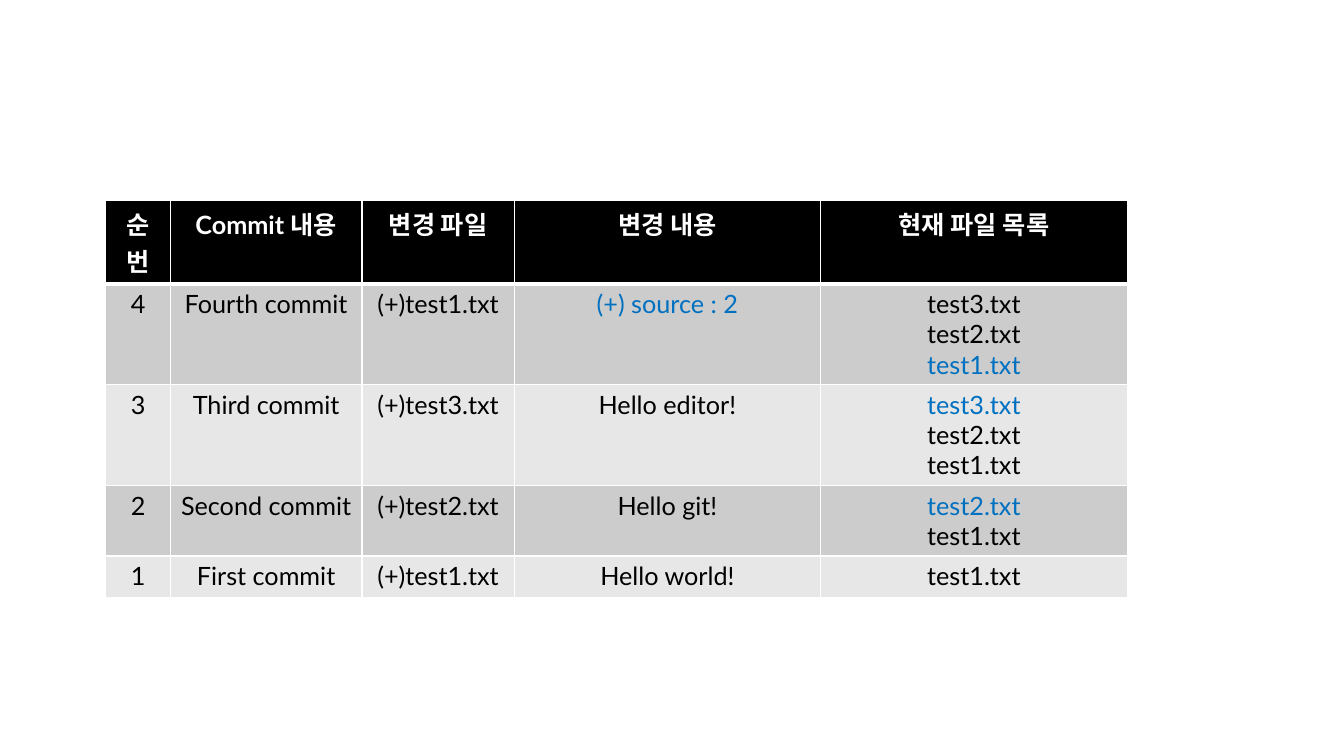
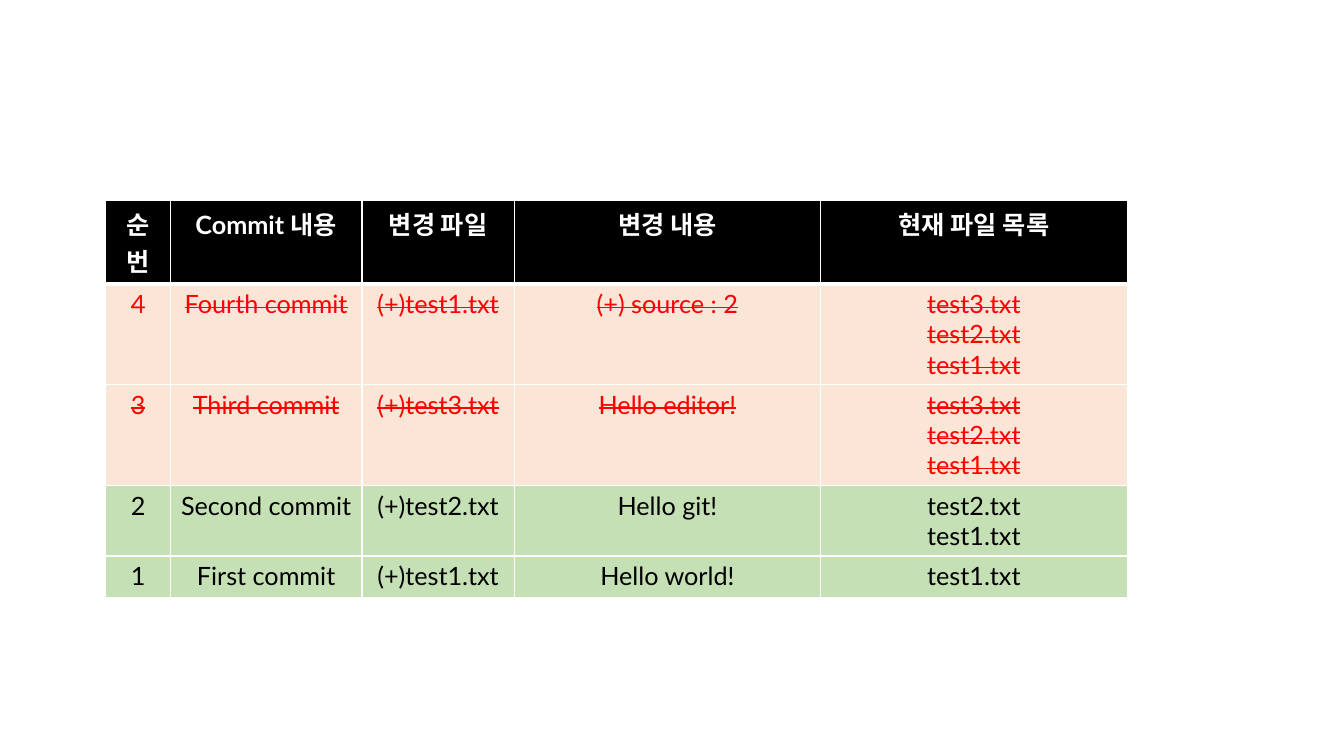
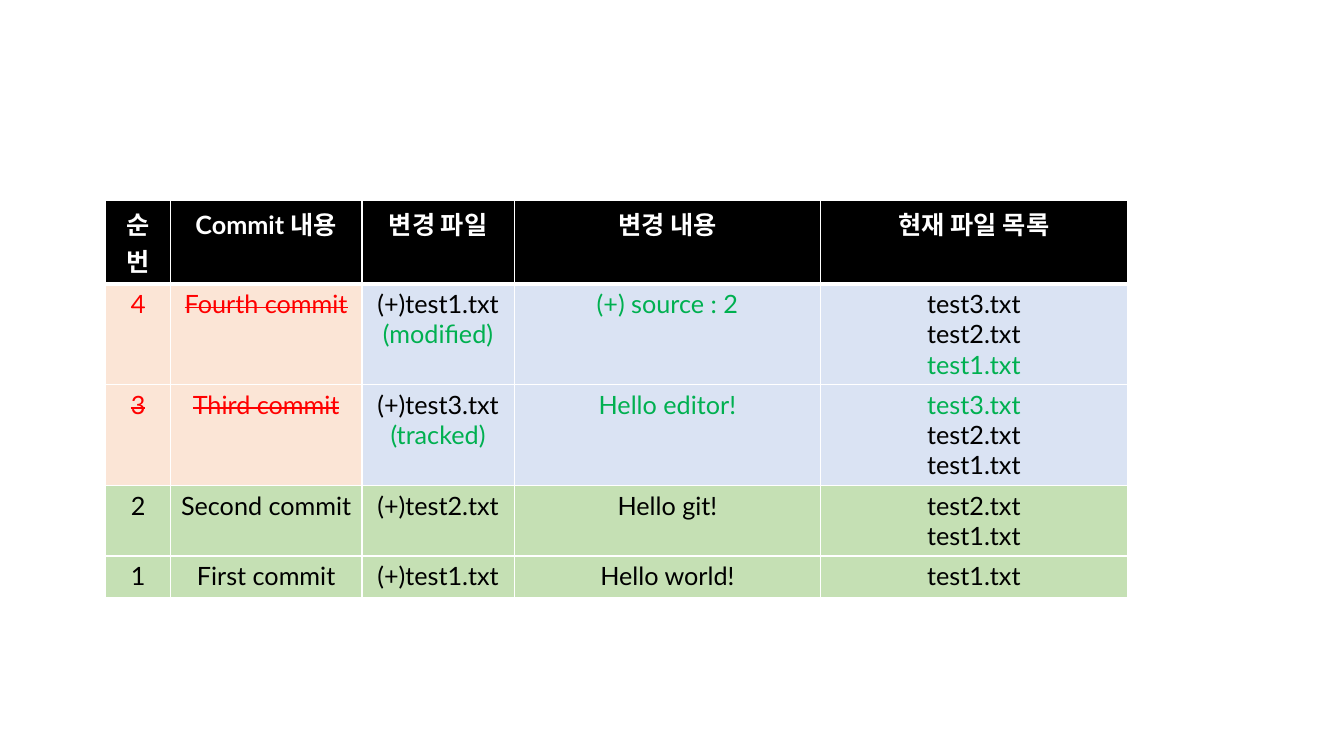
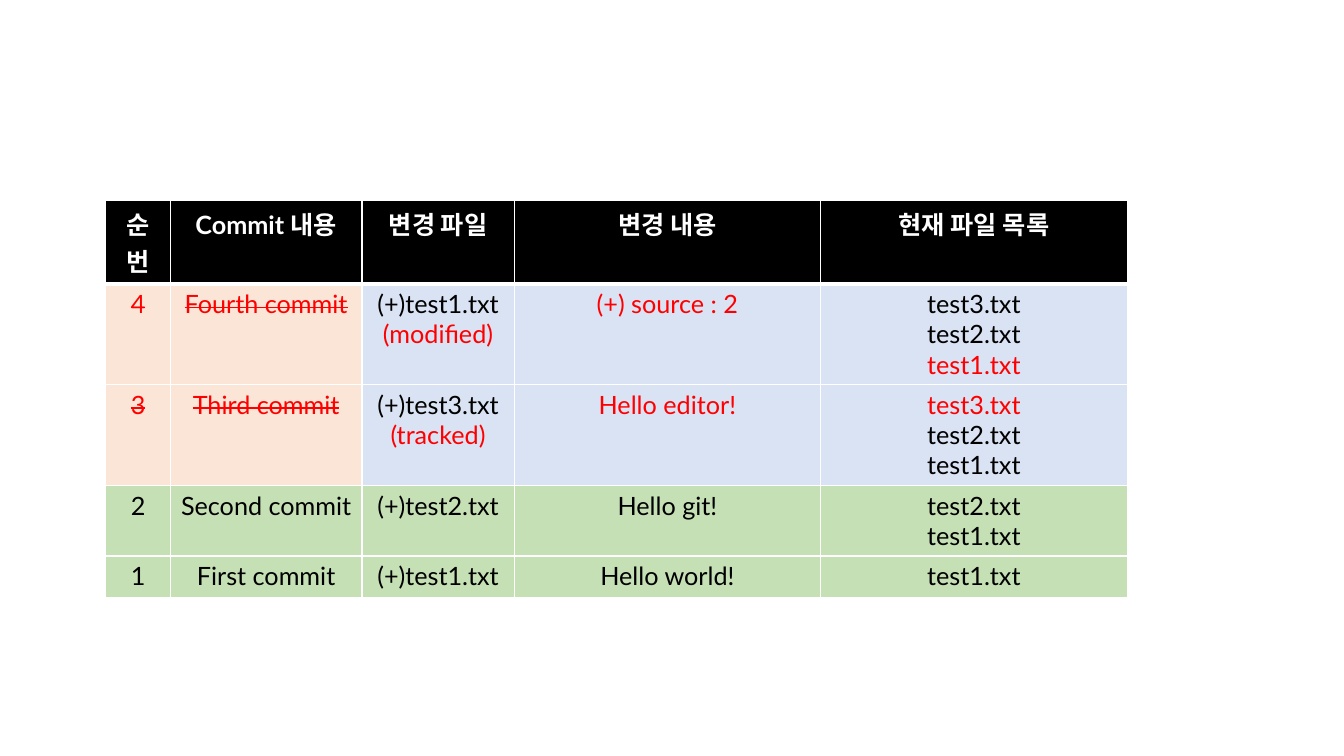
from dataclasses import dataclass

from lxml.etree import SubElement
from pptx import Presentation
from pptx.dml.color import RGBColor
from pptx.enum.text import PP_ALIGN
from pptx.oxml.ns import qn
from pptx.util import Pt

EMU_PER_PX = 9144
FONT = "Lato"
BLACK, WHITE = "000000", "FFFFFF"
BLUE, RED, GREEN = "0070C0", "FF0000", "00B050"
BANDS = ("CCCCCC", "E7E7E7")
UNDONE_FILL, KEPT_FILL, RESTORED_FILL = "FBE5D6", "C5E0B4", "DAE3F3"

TABLE_BOX = (105, 199, 1013, 351)
COLUMN_WIDTHS = (64, 190, 151, 304, 304)
ROW_HEIGHT = 41
HEADERS = ("순번", "Commit 내용", "변경 파일", "변경 내용", "현재 파일 목록")


@dataclass
class Commit:
    number: str
    title: str
    changed: str
    content: str
    files: tuple
    state: str = ""

    def cells(self):
        return [(self.number,), (self.title,), (f"(+){self.changed}",),
                (self.content,), self.files]


COMMITS = (
    Commit("4", "Fourth commit", "test1.txt", "(+) source : 2",
           ("test3.txt", "test2.txt", "test1.txt"), "(modified)"),
    Commit("3", "Third commit", "test3.txt", "Hello editor!",
           ("test3.txt", "test2.txt", "test1.txt"), "(tracked)"),
    Commit("2", "Second commit", "test2.txt", "Hello git!",
           ("test2.txt", "test1.txt")),
    Commit("1", "First commit", "test1.txt", "Hello world!", ("test1.txt",)),
)


@dataclass
class Line:
    text: str
    colour: str = BLACK
    bold: bool = False
    strike: bool = False


def px(length):
    return length * EMU_PER_PX


def rgb(value):
    return RGBColor.from_string(value)


def add_borders(cell, widths):
    """Draw white borders; widths maps a side (L, R, T, B) to points."""
    properties = cell._tc.get_or_add_tcPr()
    for index, (side, width) in enumerate(widths.items()):
        border = SubElement(properties, qn(f"a:ln{side}"), w=str(Pt(width)))
        fill = SubElement(border, qn("a:solidFill"))
        SubElement(fill, qn("a:srgbClr"), val=WHITE)
        properties.insert(index, border)


def write_cell(cell, fill, lines):
    cell.fill.solid()
    cell.fill.fore_color.rgb = rgb(fill)
    frame = cell.text_frame
    for index, line in enumerate(lines):
        para = frame.add_paragraph() if index else frame.paragraphs[0]
        para.alignment = PP_ALIGN.CENTER
        span = para.add_run()
        span.text = line.text
        span.font.name = FONT
        span.font.size = Pt(18)
        span.font.bold = line.bold
        span.font.color.rgb = rgb(line.colour)
        if line.strike:
            span.font._element.set("strike", "sngStrike")


def add_commit_table(slide, box, rows):
    """Rows hold (fill, lines) pairs, one for each column."""
    left, top, width, height = map(px, box)
    holder = slide.shapes.add_table(len(rows), len(COLUMN_WIDTHS),
                                    left, top, width, height)
    table = holder.table
    table.horz_banding = False
    for column, column_width in zip(table.columns, COLUMN_WIDTHS):
        column.width = px(column_width)
    for index, (row, contents) in enumerate(zip(table.rows, rows)):
        row.height = px(ROW_HEIGHT)
        widths = {"L": 1, "R": 1, "T": 1, "B": 1 if index else 3}
        if index == 1:
            del widths["T"]  # the header's thick lower border lies here
        for cell, (fill, lines) in zip(row.cells, contents):
            write_cell(cell, fill, lines)
            add_borders(cell, widths)
    holder.height = height


def header_row():
    return [(BLACK, [Line(text, WHITE, bold=True)]) for text in HEADERS]


def plain_row(commit, fill, **style):
    return [(fill, [Line(text, **style) for text in texts])
            for texts in commit.cells()]


def mark_files(commit, colour):
    return [Line(name, colour if name == commit.changed else BLACK)
            for name in commit.files]


def history_row(commit, fill):
    """A commit in the log, its changed file in blue."""
    row = plain_row(commit, fill)
    if len(commit.files) > 1:
        row[4] = (fill, mark_files(commit, BLUE))
    if commit.content.startswith("(+)"):
        row[3] = (fill, [Line(commit.content, BLUE)])
    return row


def undone_row(commit):
    return plain_row(commit, UNDONE_FILL, colour=RED, strike=True)


def restored_row(commit, accent):
    """An undone commit whose changes remain, shown in the accent colour."""
    remaining = (
        [Line(f"(+){commit.changed}"), Line(commit.state, accent)],
        [Line(commit.content, accent)],
        mark_files(commit, accent),
    )
    return undone_row(commit)[:2] + [(RESTORED_FILL, lines) for lines in remaining]


def history_rows():
    return [history_row(commit, BANDS[index % 2])
            for index, commit in enumerate(COMMITS)]


def reset_rows(undo, *options):
    """Commits with a state are undone by the given row function."""
    return [undo(commit, *options) if commit.state else plain_row(commit, KEPT_FILL)
            for commit in COMMITS]


def main():
    deck = Presentation()
    deck.slide_width, deck.slide_height = px(1333), px(750)
    for rows in (history_rows(), reset_rows(undone_row),
                 reset_rows(restored_row, GREEN), reset_rows(restored_row, RED)):
        slide = deck.slides.add_slide(deck.slide_layouts[6])
        add_commit_table(slide, TABLE_BOX, [header_row()] + rows)
    deck.save("out.pptx")


if __name__ == "__main__":
    main()
